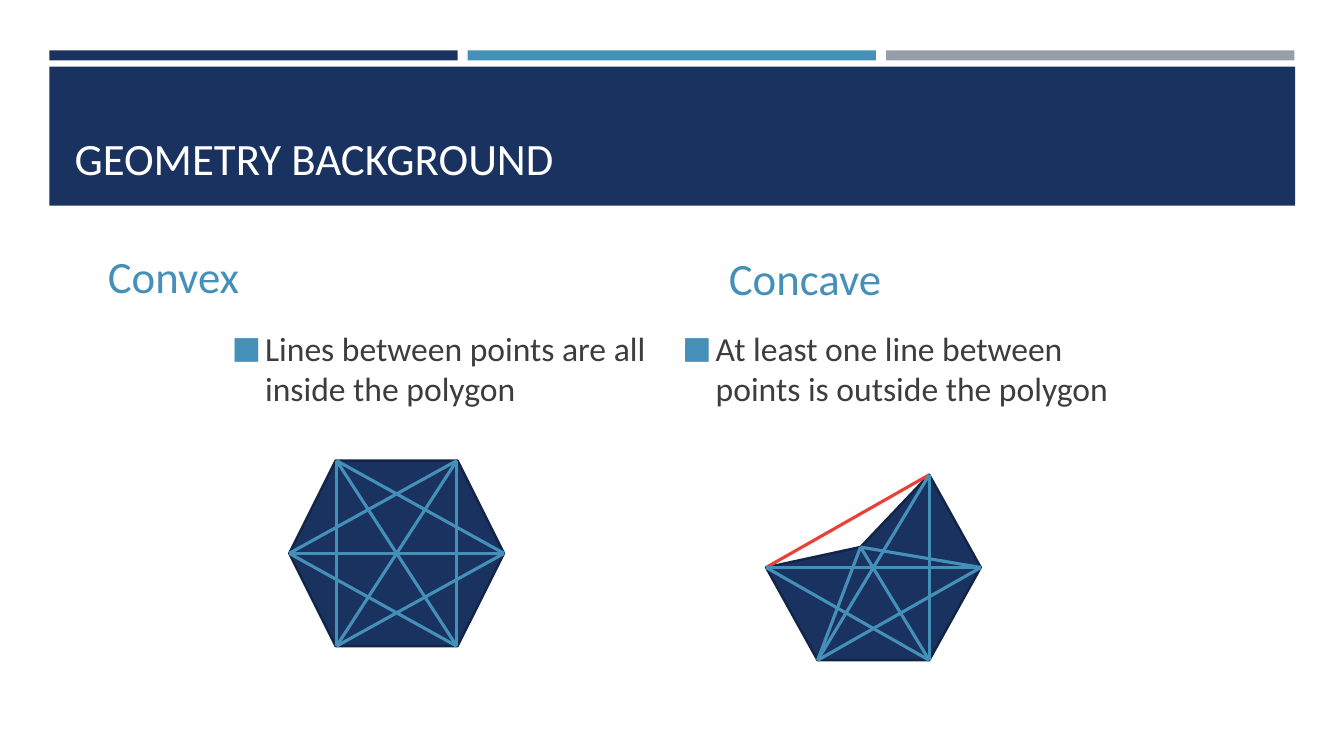
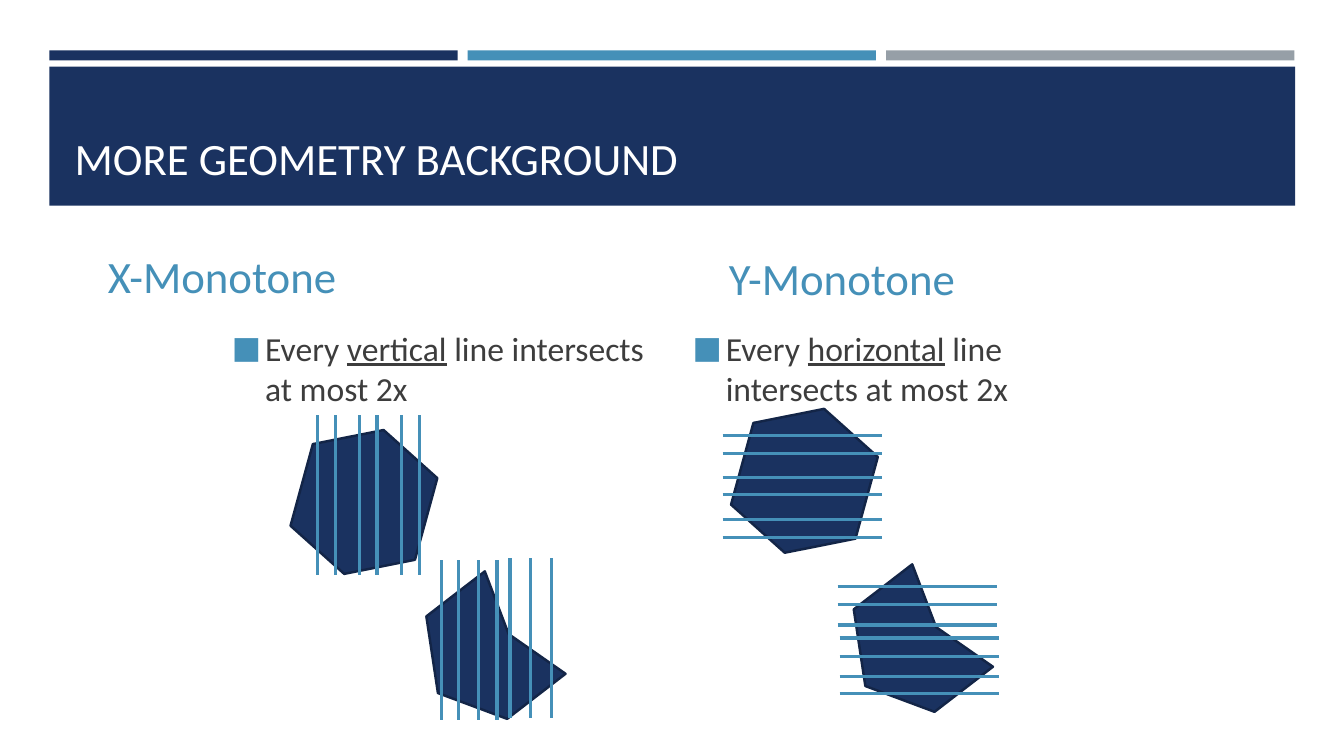
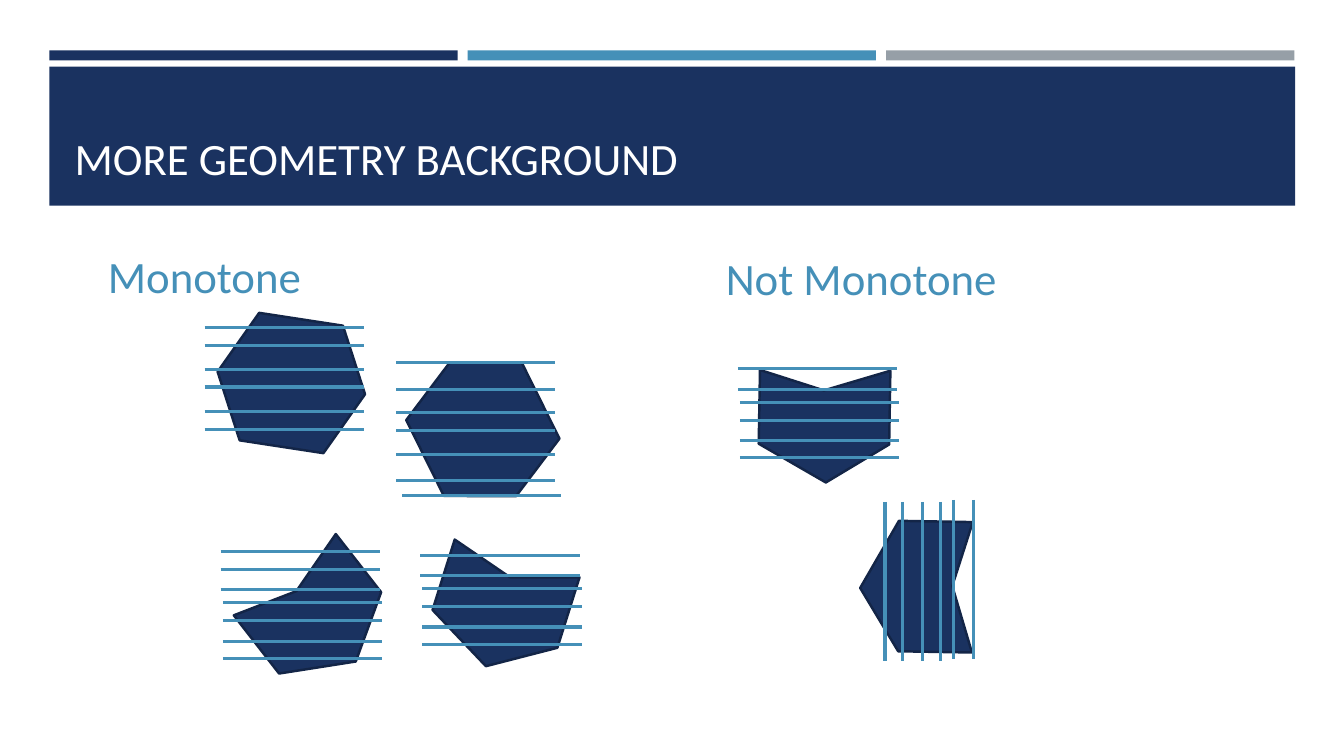
from itertools import combinations

from lxml import etree
from pptx import Presentation
from pptx import util as u
from pptx.dml.color import RGBColor
from pptx.enum import shapes, text
from pptx.oxml.ns import qn

NAVY, EDGE, BLUE, GREY = "1A3260", "132547", "4590B8", "969FA7"
RED, WHITE, INK = "E94037", "FFFFFF", "3D3D3D"
FONT = "Calibri"

COLUMNS, ROWS = 133.33, 75
CELL = u.Inches(0.1)

CONVEX = [(0, 0.5), (0.22, 0), (0.78, 0), (1, 0.5), (0.78, 1), (0.22, 1)]
CONCAVE = [(0, 0.5), (0.44, 0.39), (0.76, 0), (1, 0.5), (0.76, 1), (0.24, 1)]
LARGE, SMALL = (21.3, 18.4), (14.8, 12.8)

SWEEP = 15.8
CONVEX_SWEEPS = [(0, 0), (1.8, 0), (4.2, 0), (5.9, 0), (8.3, 0), (10.1, 0)]
CONCAVE_SWEEPS = [(0, 0), (2, 0), (3.3, 0.2), (5.1, 0.2), (7.1, 0.2), (8.8, 0.2)]
LEAD_SWEEPS = [(-1.8, 0)] + CONCAVE_SWEEPS
WIDE_SWEEPS = [(0, 0), (2.6, 0), (4.9, 0), (6.7, 0), (9.1, 0), (11.7, 0), (13.2, 0.6)]


def cells(*counts):
    return [u.Emu(round(count * CELL)) for count in counts]


def color(hex_value):
    return RGBColor.from_string(hex_value)


def write(frame, content, size=24, fill=INK, anchor=text.MSO_ANCHOR.TOP, after=0, bullet=False):
    frame.word_wrap = True
    frame.auto_size = text.MSO_AUTO_SIZE.NONE
    frame.vertical_anchor = anchor
    paragraph = frame.paragraphs[0]
    paragraph.alignment = text.PP_ALIGN.LEFT
    paragraph.space_after = u.Pt(after)
    for place, part in enumerate(content.split("_")):
        run = paragraph.add_run()
        run.text = part
        run.font.name = FONT
        run.font.size = u.Pt(size)
        run.font.bold = False
        run.font.underline = place % 2 == 1
        run.font.color.rgb = color(fill)
    if bullet:
        add_bullet(paragraph)


def add_bullet(paragraph):
    props = paragraph._p.get_or_add_pPr()
    indent = u.Inches(0.33)
    props.set("marL", str(indent))
    props.set("indent", str(-indent))
    tint = etree.SubElement(props, qn("a:buClr"))
    etree.SubElement(tint, qn("a:srgbClr"), val=BLUE)
    etree.SubElement(props, qn("a:buSzPct"), val="92000")
    etree.SubElement(props, qn("a:buFont"), typeface=FONT)
    etree.SubElement(props, qn("a:buChar"), char="■")


class Deck:
    def __init__(self):
        self.prs = Presentation()
        self.prs.slide_width, self.prs.slide_height = cells(COLUMNS, ROWS)
        self.layout = self.prs.slide_layouts[4]
        self.slide = None

    def new_slide(self, title):
        first = self.slide is None
        self.slide = self.prs.slides.add_slide(self.layout)
        if first:
            self.frame_layout()
        self.place(0, (6.4, 8, 120.6, 10.8), title, size=32, fill=WHITE,
                   anchor=text.MSO_ANCHOR.BOTTOM)

    def frame_layout(self):
        bands = [(4.9 + 41.5 * i, 5, 40.5, 1, fill) for i, fill in enumerate((NAVY, BLUE, GREY))]
        bands.append((4.9, 6.6, 123.6, 13.8, NAVY))
        for *box, fill in bands:
            band = self.style(self.slide.shapes.add_shape(
                shapes.MSO_SHAPE.RECTANGLE, *cells(*box)), fill)
            self.layout.shapes.element.insert(2, band.element)

    def style(self, shape, fill, edge=None):
        shape.shadow.inherit = False
        shape.fill.solid()
        shape.fill.fore_color.rgb = color(fill)
        if edge:
            shape.line.color.rgb = color(edge)
            shape.line.width = u.Pt(1.75)
        else:
            shape.line.fill.background()
        return shape

    def place(self, index, box, content, **style):
        holder = self.slide.placeholders[index]
        holder.left, holder.top, holder.width, holder.height = cells(*box)
        write(holder.text_frame, content, **style)

    def headings(self, left, right, right_box=(71.3, 24.6, 55.6, 6.1)):
        for index, box, content in ((1, (9.7, 24.6, 55.6, 5.9), left), (3, right_box, right)):
            self.place(index, box, content, size=32, fill=BLUE, after=6,
                       anchor=text.MSO_ANCHOR.BOTTOM)

    def bullets(self, left, right, right_column, right_width):
        for index, column, width, content in ((2, 22, 44.6, left),
                                              (4, right_column, right_width, right)):
            self.place(index, (column, 32, width, 32.1), content, after=6, bullet=True)

    def drop_empty(self):
        for holder in list(self.slide.placeholders):
            if not holder.text_frame.text:
                holder.element.getparent().remove(holder.element)

    def convex(self, column, row, size=SMALL, turn=0):
        hexagon = self.slide.shapes.add_shape(
            shapes.MSO_SHAPE.HEXAGON, *cells(column, row, *size))
        self.style(hexagon, NAVY, EDGE).rotation = turn

    def concave(self, column, row, size=SMALL, turn=0):
        corners = [cells(*corner) for corner in self.corners(CONCAVE, column, row, size)]
        builder = self.slide.shapes.build_freeform(*corners[0])
        builder.add_line_segments(corners[1:], close=True)
        self.style(builder.convert_to_shape(), NAVY, EDGE).rotation = turn

    def corners(self, outline, column, row, size):
        return [(column + x * size[0], row + y * size[1]) for x, y in outline]

    def line(self, start, end, fill=BLUE):
        line = self.slide.shapes.add_connector(
            shapes.MSO_CONNECTOR.STRAIGHT, *cells(*start, *end))
        line.line.color.rgb = color(fill)
        line.line.width = u.Pt(2.25)
        etree.SubElement(line.element.spPr, qn("a:effectLst"))

    def diagonals(self, outline, column, row, outside=None):
        points = self.corners(outline, column, row, LARGE)
        for pair in combinations(range(len(points)), 2):
            if pair[1] - pair[0] not in (1, len(points) - 1):
                self.line(points[pair[0]], points[pair[1]], RED if pair == outside else BLUE)

    def sweep_down(self, column, row, sweeps):
        for step, shift in sweeps:
            self.line((column + shift, row + step), (column + shift + SWEEP, row + step))

    def sweep_left(self, column, row, sweeps):
        for step, shift in sweeps:
            self.line((column - step, row + shift), (column - step, row + shift + SWEEP))


def convexity(deck):
    deck.new_slide("GEOMETRY BACKGROUND")
    deck.headings("Convex", "Concave")
    deck.bullets("Lines between points are all inside the polygon",
                 "At least one line between points is outside the polygon", 66.7, 44.7)
    deck.convex(28.7, 45.7, LARGE)
    deck.diagonals(CONVEX, 28.7, 45.7)
    deck.concave(76, 47.1, LARGE)
    deck.diagonals(CONCAVE, 76, 47.1, outside=(0, 2))


def monotone_axes(deck):
    deck.new_slide("MORE GEOMETRY BACKGROUND")
    deck.headings("X-Monotone", "Y-Monotone")
    deck.bullets("Every _vertical_ line intersects at most 2x",
                 "Every _horizontal_ line intersects at most 2x", 67.7, 42)
    deck.convex(28.7, 43.4, turn=105.3)
    deck.sweep_left(41.6, 41.2, CONVEX_SWEEPS)
    deck.concave(41.8, 57.6, turn=81.4)
    deck.sweep_left(52.6, 55.4, [(-2.1, 0)] + CONCAVE_SWEEPS)
    deck.convex(72.4, 41.3, turn=105.3)
    deck.sweep_down(71.7, 43.2, CONVEX_SWEEPS)
    deck.concave(84.2, 56.9, turn=81.4)
    deck.sweep_down(83.1, 60, LEAD_SWEEPS)


def monotone_examples(deck):
    deck.new_slide("MORE GEOMETRY BACKGROUND")
    deck.headings("Monotone", "Not Monotone", (71, 24.4, 39.4, 6.3))
    deck.drop_empty()
    deck.convex(40.5, 36.2, turn=63.6)
    deck.sweep_down(39.3, 36, WIDE_SWEEPS)
    deck.concave(42.8, 52.5, turn=46.5)
    deck.sweep_down(41.7, 55.1, CONCAVE_SWEEPS)
    deck.convex(21.5, 31.6, turn=8.7)
    deck.sweep_down(20.3, 32.5, CONVEX_SWEEPS)
    deck.concave(23.1, 53.5, turn=351.1)
    deck.sweep_down(21.9, 56.5, LEAD_SWEEPS)
    deck.concave(74.4, 34, turn=30)
    deck.sweep_down(73.2, 36.6, CONCAVE_SWEEPS)
    deck.concave(85.4, 51.8, turn=120)
    deck.sweep_left(96.6, 49.6, CONCAVE_SWEEPS)


def main():
    deck = Deck()
    for build in (convexity, monotone_axes, monotone_examples):
        build(deck)
    deck.prs.save("out.pptx")


if __name__ == "__main__":
    main()
